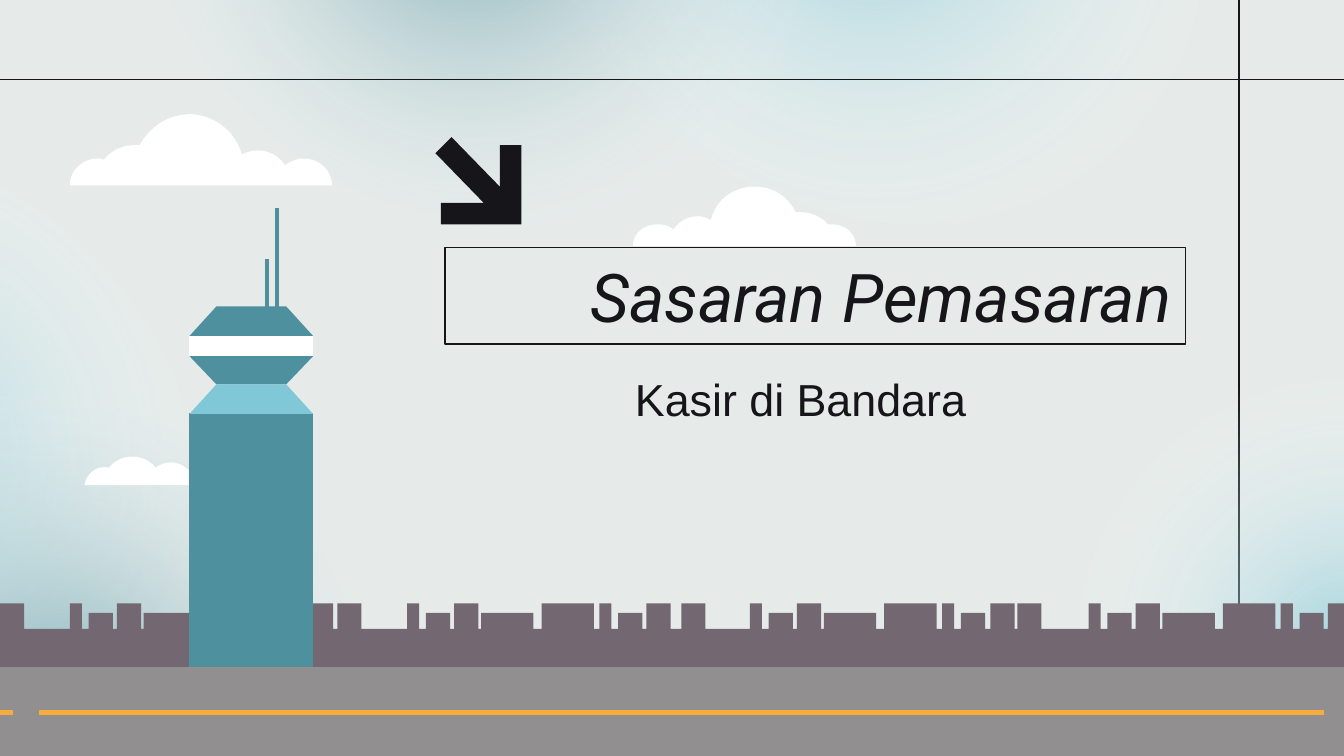
from dataclasses import dataclass

from lxml.etree import SubElement
from pptx import Presentation
from pptx.dml.color import RGBColor
from pptx.enum.shapes import MSO_CONNECTOR, MSO_SHAPE
from pptx.enum.text import MSO_ANCHOR, MSO_AUTO_SIZE, PP_ALIGN
from pptx.oxml.ns import qn
from pptx.util import Inches, Pt

INK = RGBColor(0x16, 0x15, 0x19)
MIST = RGBColor(0xE6, 0xEB, 0xE9)
WHITE = RGBColor(0xFF, 0xFF, 0xFF)
TEAL = RGBColor(0x4E, 0x90, 0x9E)
SKY = RGBColor(0x80, 0xC8, 0xD8)
PLUM = RGBColor(0x73, 0x68, 0x71)
ASPHALT = RGBColor(0x91, 0x8F, 0x8F)
AMBER = RGBColor(0xF7, 0xAC, 0x3B)

Point = tuple[float, float]


@dataclass(frozen=True)
class Glow:
    """A soft round light in the sky."""
    left: float
    top: float
    rotation: float
    color: RGBColor
    opacity: int = 68


@dataclass(frozen=True)
class Cloud:
    """A start point and cubic curves of three points each."""
    start: Point
    curves: tuple[tuple[float, ...], ...]


@dataclass(frozen=True)
class TowerPart:
    """A section symmetric about an axis, with widths at both ends."""
    top: float
    bottom: float
    top_width: float
    bottom_width: float
    color: RGBColor = TEAL
    axis: float = 1.87


GLOWS = (
    Glow(3.88, -3.08, 42, SKY), Glow(0.9, -3.06, 42, TEAL),
    Glow(6.11, 4.36, 356.7, TEAL, 81), Glow(7.42, 2.54, 356.7, SKY),
    Glow(-3.65, 1.14, 33.5, SKY), Glow(-2.18, 3.04, 33.5, TEAL),
)
CLOUDS = (
    Cloud((2.26, 1.18), (
        (2.21, 1.18, 2.16, 1.2, 2.12, 1.23), (2.05, 1.12, 1.91, 1.09, 1.8, 1.15),
        (1.75, 0.98, 1.61, 0.87, 1.44, 0.85), (1.28, 0.84, 1.12, 0.93, 1.04, 1.08),
        (1.03, 1.08, 1.01, 1.08, 1, 1.08), (0.91, 1.08, 0.83, 1.12, 0.77, 1.19),
        (0.76, 1.18, 0.74, 1.18, 0.73, 1.18), (0.61, 1.18, 0.52, 1.27, 0.52, 1.38),
        (1.17, 1.38, 1.82, 1.38, 2.47, 1.38), (2.47, 1.27, 2.38, 1.18, 2.26, 1.18))),
    Cloud((4.71, 1.83), (
        (4.71, 1.74, 4.79, 1.67, 4.89, 1.67),
        (4.94, 1.67, 4.98, 1.68, 5.01, 1.71), (5.05, 1.65, 5.12, 1.61, 5.19, 1.61),
        (5.22, 1.61, 5.26, 1.62, 5.29, 1.64), (5.32, 1.5, 5.44, 1.4, 5.59, 1.39),
        (5.73, 1.38, 5.86, 1.45, 5.92, 1.58), (5.94, 1.58, 5.95, 1.58, 5.96, 1.58),
        (6.03, 1.58, 6.11, 1.61, 6.16, 1.67), (6.17, 1.67, 6.18, 1.67, 6.19, 1.67),
        (6.29, 1.67, 6.37, 1.74, 6.37, 1.83))),
    Cloud((0.63, 3.61), (
        (0.64, 3.52, 0.73, 3.46, 0.81, 3.48), (0.9, 3.37, 1.07, 3.37, 1.16, 3.48),
        (1.25, 3.41, 1.37, 3.44, 1.43, 3.53), (1.5, 3.5, 1.57, 3.54, 1.59, 3.61))),
)
TOWER = (
    TowerPart(2.5, 2.65, 0.92, 0.92, WHITE), TowerPart(3.07, 4.96, 0.92, 0.92),
    TowerPart(2.65, 2.86, 0.92, 0.52), TowerPart(2.28, 2.5, 0.52, 0.92),
    TowerPart(2.86, 3.08, 0.52, 0.92, SKY),
    TowerPart(1.55, 2.38, 0.03, 0.03, axis=2.06),
    TowerPart(1.93, 2.38, 0.03, 0.03, axis=1.99),
)
TALL, LOW, STREET, GROUND = 4.49, 4.56, 4.68, 4.97
RIGHT_EDGE = 10.06
# Left, right and roof of each building, measured from the start of its city block
BUILDINGS = (
    (0, 0.09, TALL), (0.14, 0.32, LOW), (0.35, 0.53, TALL), (0.55, 0.94, LOW),
    (1, 1.39, TALL), (1.43, 1.52, TALL), (1.57, 1.75, LOW),
)
# Start of each city block and left edges of the tall buildings that close it
CITY_BLOCKS = ((0.52, (2.3, 2.51)), (3.03, (4.81, 5.07)),
               (5.58, (7.37, 7.57)), (8.1, (9.88,)))
ARROW = ((3.36, 1.02), (3.24, 1.14), (3.6, 1.51), (3.28, 1.51), (3.28, 1.67),
         (3.88, 1.67), (3.88, 1.08), (3.72, 1.08), (3.72, 1.39))


def draw_outline(slide, points, color: RGBColor) -> None:
    """Draw a filled closed outline."""
    start, *others = [(Inches(x), Inches(y)) for x, y in points]
    builder = slide.shapes.build_freeform(*start)
    builder.add_line_segments(others, close=True)
    outline = builder.convert_to_shape()
    outline.shadow.inherit = False
    outline.fill.solid()
    outline.fill.fore_color.rgb = color
    outline.line.fill.background()


def draw_line(slide, start: Point, end: Point, color: RGBColor, width: float) -> None:
    """Draw a straight line without a shadow."""
    line = slide.shapes.add_connector(
        MSO_CONNECTOR.STRAIGHT, *map(Inches, start + end))
    line.line.color.rgb = color
    line.line.width = Pt(width)
    SubElement(line._element.spPr, qn("a:effectLst"))


def draw_glow(slide, glow: Glow) -> None:
    """Draw an ellipse that fades out from its centre."""
    ellipse = slide.shapes.add_shape(
        MSO_SHAPE.OVAL, Inches(glow.left), Inches(glow.top), Inches(5.22), Inches(4.6))
    ellipse.rotation = glow.rotation
    ellipse.shadow.inherit = False
    ellipse.line.fill.background()
    ellipse.fill.gradient()
    gradient = ellipse._element.spPr.find(qn("a:gradFill"))
    for child in list(gradient):
        gradient.remove(child)
    stops = SubElement(gradient, qn("a:gsLst"))
    for position, color, opacity in (
            (0, glow.color, glow.opacity), (58, WHITE, 0), (100, WHITE, 0)):
        stop = SubElement(stops, qn("a:gs"), pos=str(position * 1000))
        tint = SubElement(stop, qn("a:srgbClr"), val=str(color))
        SubElement(tint, qn("a:alpha"), val=str(opacity * 1000))
    radial = SubElement(gradient, qn("a:path"), path="circle")
    SubElement(radial, qn("a:fillToRect"), l="50000", t="50000", r="50000", b="50000")


def draw_cloud(slide, cloud: Cloud, steps: int = 12) -> None:
    """Draw a cloud, sampling its cubic curves."""
    points = [cloud.start]
    for x1, y1, x2, y2, x3, y3 in cloud.curves:
        controls = (points[-1], (x1, y1), (x2, y2), (x3, y3))
        for step in range(1, steps + 1):
            t = step / steps
            weights = ((1 - t) ** 3, 3 * t * (1 - t) ** 2, 3 * t * t * (1 - t), t ** 3)
            points.append(tuple(
                sum(w * c[axis] for w, c in zip(weights, controls)) for axis in (0, 1)))
    draw_outline(slide, points, WHITE)


def draw_tower_part(slide, part: TowerPart) -> None:
    """Draw one section of the control tower."""
    upper, lower = part.top_width / 2, part.bottom_width / 2
    draw_outline(slide, (
        (part.axis - upper, part.top), (part.axis - lower, part.bottom),
        (part.axis + lower, part.bottom), (part.axis + upper, part.top)), part.color)


def draw_skyline(slide) -> None:
    """Draw the repeating city blocks as one outline."""
    roofs = [(0, 0.18, TALL)]
    for start, closing in CITY_BLOCKS:
        roofs += [(start + left, start + right, roof) for left, right, roof in BUILDINGS]
        roofs += [(left, left + 0.18, TALL) for left in closing]
    points = [(0, GROUND)]
    for left, right, roof in roofs:
        points += [(left, STREET), (left, roof), (right, roof), (right, STREET)]
    draw_outline(slide, points + [(RIGHT_EDGE, GROUND)], PLUM)


def write_text(holder, text: str, *, font: str, size: float,
               italic: bool = False, space_after: float = 0) -> None:
    """Write right-aligned text, centred vertically in its holder."""
    frame = holder.text_frame
    frame.word_wrap = True
    frame.auto_size = MSO_AUTO_SIZE.NONE
    frame.vertical_anchor = MSO_ANCHOR.MIDDLE
    frame.margin_left = frame.margin_right = Inches(0.1)
    frame.margin_top = frame.margin_bottom = Inches(0.1)
    paragraph = frame.paragraphs[0]
    paragraph.alignment = PP_ALIGN.RIGHT
    paragraph.space_after = Pt(space_after)
    run = paragraph.add_run()
    run.text = text
    run.font.name, run.font.size, run.font.italic = font, Pt(size), italic
    run.font.color.rgb = INK


def build() -> None:
    """Build the slide and save it."""
    deck = Presentation()
    deck.slide_width, deck.slide_height = Inches(10), Inches(10 * 9 / 16)
    slide = deck.slides.add_slide(deck.slide_layouts[5])
    slide.background.fill.solid()
    slide.background.fill.fore_color.rgb = MIST

    draw_line(slide, (9.22, 6.25), (9.22, -0.32), INK, 0.75)
    for glow in GLOWS:
        draw_glow(slide, glow)
    draw_line(slide, (RIGHT_EDGE, 0.59), (-0.06, 0.59), INK, 0.75)
    draw_skyline(slide)
    draw_outline(slide, ((0, 4.96), (0, 5.66), (RIGHT_EDGE, 5.66), (RIGHT_EDGE, 4.96)),
                 ASPHALT)
    for start, end in ((0.29, 9.85), (0, 0.1)):
        draw_line(slide, (start, 5.3), (end, 5.3), AMBER, 2.56)
    for cloud in CLOUDS:
        draw_cloud(slide, cloud)

    title = slide.shapes.title
    slide.shapes._spTree.append(title._element)
    title.left, title.top = Inches(3.31), Inches(1.84)
    title.width, title.height = Inches(5.51), Inches(0.72)
    title.line.color.rgb = INK
    title.line.width = Pt(0.75)
    write_text(title, "Sasaran Pemasaran", font="Roboto", size=36, italic=True)
    subtitle = slide.shapes.add_textbox(
        Inches(2.82), Inches(2.79), Inches(4.56), Inches(0.35))
    write_text(subtitle, "Kasir di Bandara ", font="Arial", size=24, space_after=16)

    for part in TOWER:
        draw_tower_part(slide, part)
    draw_outline(slide, ARROW, INK)
    deck.save("out.pptx")


build()
